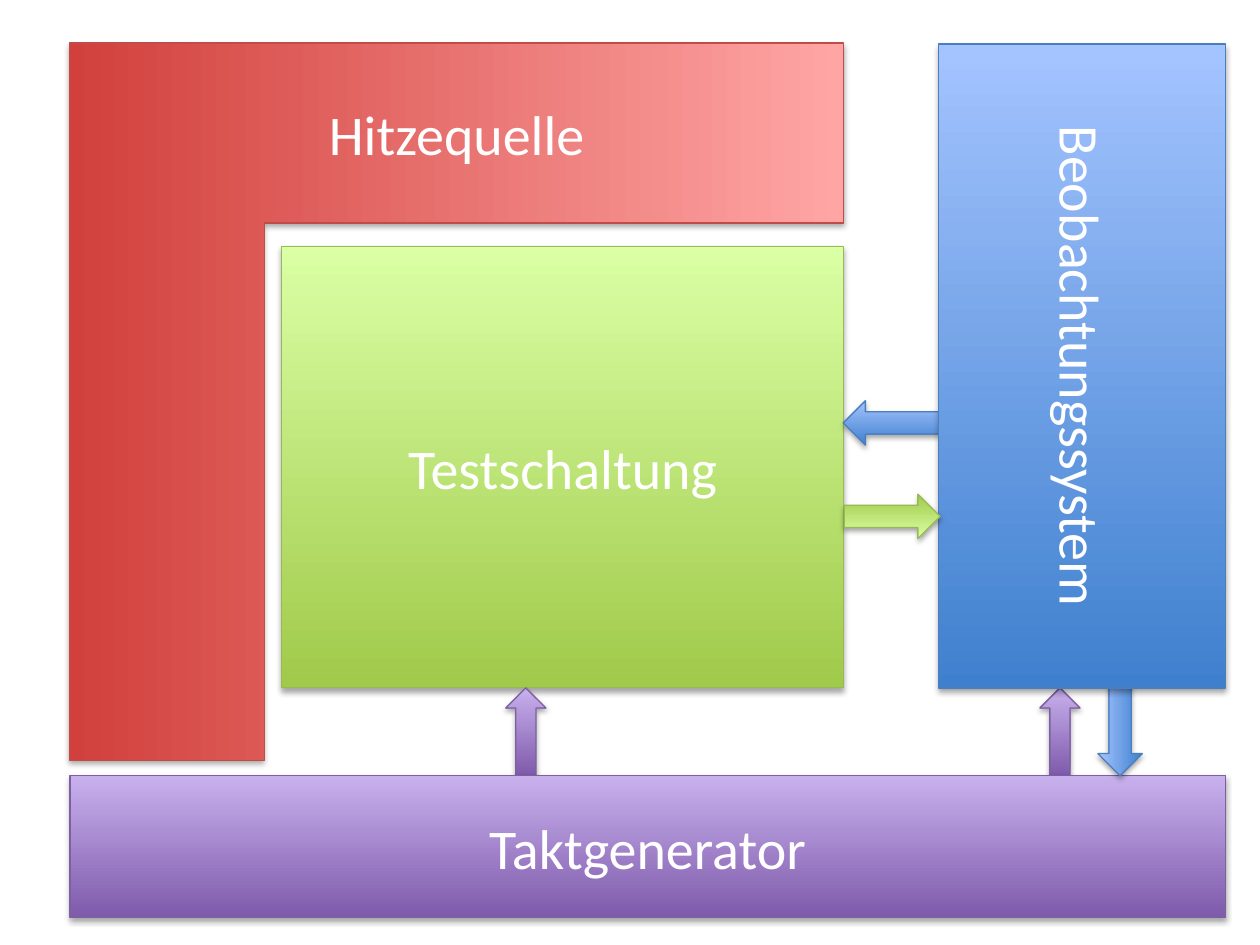
from dataclasses import dataclass

from lxml.etree import SubElement
from pptx import Presentation
from pptx.dml.color import RGBColor
from pptx.enum.text import MSO_ANCHOR as Anchor, PP_ALIGN as Align
from pptx.enum.shapes import MSO_SHAPE as Preset
from pptx.oxml.ns import qn
from pptx.shapes.autoshape import Shape
from pptx.shapes.shapetree import SlideShapes
from pptx.util import Pt

COLOURS = {
    "green": {"dark": "A0CA4A", "light": "DAFFA5", "line": "98B955"},
    "red": {"dark": "D1403C", "light": "FFA6A5", "line": "BF4C48"},
    "purple": {"dark": "7F5BAB", "light": "C8B0ED", "line": "7D60A0"},
    "blue": {"dark": "3F80CE", "light": "A4C4FF", "line": "4B7EBC"},
    "mono": {"text": "FFFFFF", "shadow": "000000"},
}


@dataclass(frozen=True)
class Block:
    """A diagram part, measured in points."""

    preset: Preset
    palette: str
    left: float
    top: float
    width: float
    height: float
    rotation: float = 0
    label: str = ""
    direction: str = "horz"
    corner: tuple[int, ...] = ()


def clock_arrow(left: float) -> Block:
    """Return an arrow rising from the clock generator."""
    return Block(Preset.UP_ARROW, "purple", left, 393.1, 23, 50.2)


def signal_arrow(palette: str, left: float, top: float, rotation: float = 0) -> Block:
    """Return an arrow that leaves the test circuit or the observer."""
    return Block(Preset.LEFT_ARROW, palette, left, top, 54.8, 25.4, rotation)


BLOCKS = (
    Block(Preset.RECTANGLE, "green", 161, 141, 321.2, 252.1, label="Testschaltung"),
    Block(Preset.RECTANGLE, "red", 56.1, 8.4, 409.8, 442.2, 90, "Hitzequelle",
          "vert270", (27100, 25100)),
    clock_arrow(289),
    clock_arrow(594.2),
    Block(Preset.RECTANGLE, "purple", 40, 443.3, 660.2, 81, label="Taktgenerator"),
    signal_arrow("blue", 481.8, 229),
    signal_arrow("blue", 612.7, 403.2, 270),
    Block(Preset.RECTANGLE, "blue", 536.4, 25.2, 163.8, 367.9,
          label="Beobachtungssystem", direction="vert"),
    signal_arrow("green", 482.4, 282.4, 180),
)


def make_corner(shape: Shape, thicknesses: tuple[int, ...]) -> None:
    """Turn the shape into an L with the given arm thicknesses."""
    geometry = shape._element.spPr.find(qn("a:prstGeom"))
    geometry.set("prst", "corner")
    guides = geometry.find(qn("a:avLst"))
    for number, thickness in enumerate(thicknesses, start=1):
        SubElement(guides, qn("a:gd"), name=f"adj{number}", fmla=f"val {thickness}")


def add_shadow(shape: Shape) -> None:
    """Give the shape a soft shadow below it."""
    shape.shadow.inherit = False
    effects = shape._element.spPr.find(qn("a:effectLst"))
    outer = SubElement(effects, qn("a:outerShdw"), blurRad=str(Pt(3.1)),
                       dist=str(Pt(1.8)), dir="5400000", rotWithShape="0")
    colour = SubElement(outer, qn("a:srgbClr"), val=COLOURS["mono"]["shadow"])
    SubElement(colour, qn("a:alpha"), val="35000")


def add_label(shape: Shape, label: str, direction: str) -> None:
    """Write the centred label in the given text direction."""
    frame = shape.text_frame
    frame.word_wrap = True
    frame.vertical_anchor = Anchor.MIDDLE
    frame._txBody.bodyPr.set("vert", direction)
    paragraph = frame.paragraphs[0]
    paragraph.alignment = Align.CENTER
    run = paragraph.add_run()
    run.text = label
    run.font.name = "Calibri"
    run.font.size = Pt(32)
    run.font.color.rgb = RGBColor.from_string(COLOURS["mono"]["text"])


def draw_block(shapes: SlideShapes, block: Block) -> None:
    """Draw one diagram part with gradient, outline, shadow and label."""
    shape = shapes.add_shape(block.preset, Pt(block.left), Pt(block.top),
                             Pt(block.width), Pt(block.height))
    shape.rotation = block.rotation
    if block.corner:
        make_corner(shape, block.corner)
    palette = COLOURS[block.palette]
    shape.fill.gradient()
    shape.fill.gradient_angle = 90
    for stop, tone, position in zip(shape.fill.gradient_stops, ("dark", "light"), (0, 1)):
        stop.color.rgb = RGBColor.from_string(palette[tone])
        stop.position = position
    shape.line.color.rgb = RGBColor.from_string(palette["line"])
    shape.line.width = Pt(0.75)
    add_shadow(shape)
    if block.label:
        add_label(shape, block.label, block.direction)


def main() -> None:
    """Build the block diagram and save it."""
    deck = Presentation()
    deck.slide_width, deck.slide_height = Pt(720), Pt(540)
    slide = deck.slides.add_slide(deck.slide_layouts[6])
    for block in BLOCKS:
        draw_block(slide.shapes, block)
    deck.save("out.pptx")


main()
